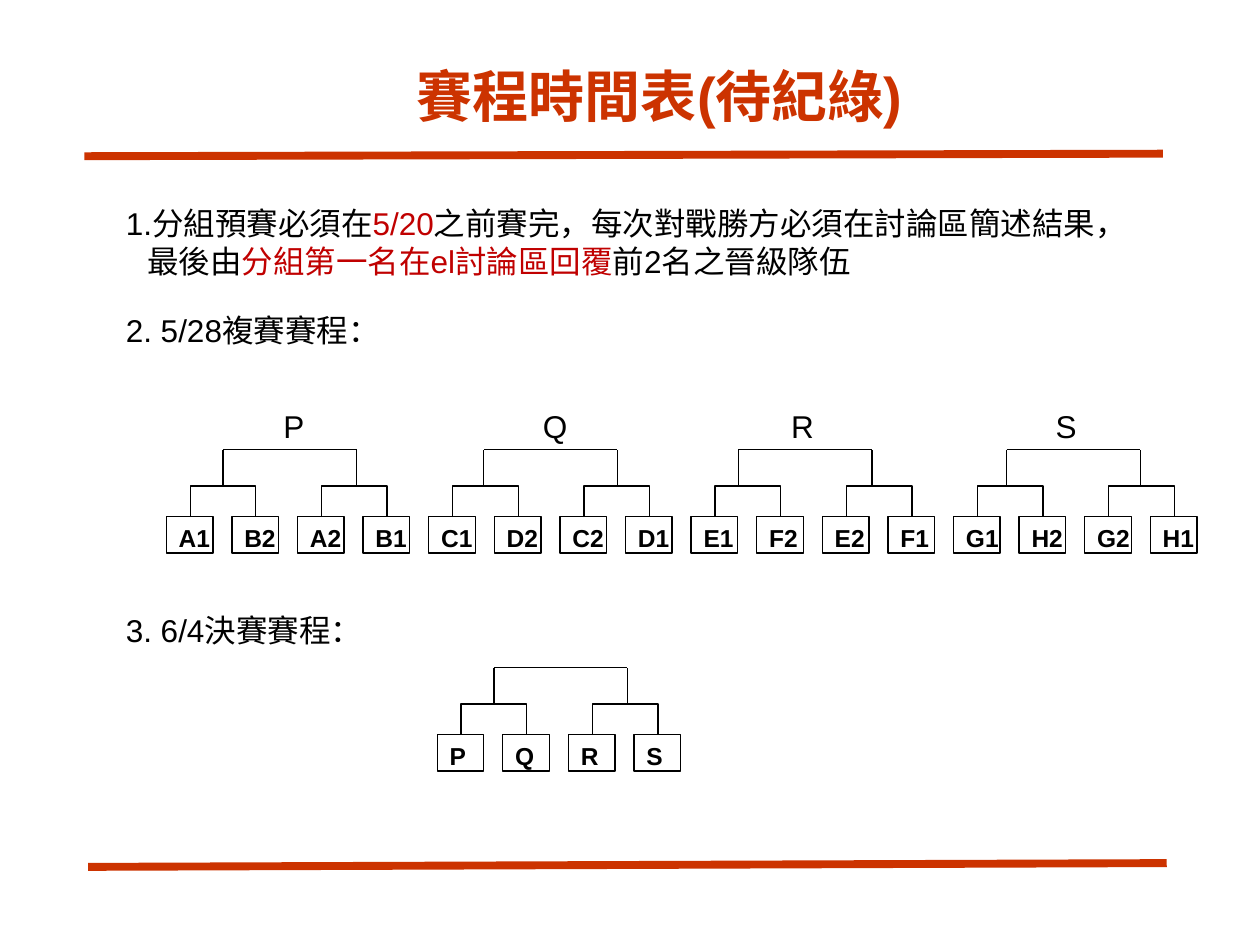
from lxml import etree
from pptx import Presentation
from pptx.dml.color import RGBColor
from pptx.enum import shapes, text
from pptx.oxml.ns import qn
from pptx.util import Inches, Pt

BLACK = RGBColor(0x00, 0x00, 0x00)
WHITE = RGBColor(0xFF, 0xFF, 0xFF)
ORANGE = RGBColor(0xCC, 0x33, 0x00)
RED = RGBColor(0xC0, 0x00, 0x00)
FONT = "Arial"

TEAM_PITCH = 7.81 / 15
TEAM_WIDTH, TEAM_HEIGHT = 0.37, 0.29
GROUPS = [  # winner, label left, left end of the upper bracket, teams
    ("P", 2.15, 1.77, ["A1", "B2", "A2", "B1"]),
    ("Q", 4.21, 3.84, ["C1", "D2", "C2", "D1"]),
    ("R", 6.18, 5.86, ["E1", "F2", "E2", "F1"]),
    ("S", 8.28, 7.99, ["G1", "H2", "G2", "H1"]),
]


def style_paragraph(paragraph, size, color=BLACK, bold=False):
    font = paragraph.font
    font.name, font.size, font.bold = FONT, Pt(size), bold
    font.color.rgb = color


def add_text(slide, box, lines, size=18, color=BLACK, bold=False):
    """Each line is a list of (words, colour or None) pieces."""
    frame = slide.shapes.add_textbox(*map(Inches, box)).text_frame
    frame.word_wrap = True
    for index, pieces in enumerate(lines):
        paragraph = frame.add_paragraph() if index else frame.paragraphs[0]
        style_paragraph(paragraph, size, color, bold)
        for words, accent in pieces:
            run = paragraph.add_run()
            run.text = words
            if accent is not None:
                run.font.color.rgb = accent
    return frame


def add_line(slide, start, end, color=BLACK, width=0.75,
             kind=shapes.MSO_CONNECTOR.STRAIGHT):
    line = slide.shapes.add_connector(kind, *map(Inches, (*start, *end)))
    line.line.color.rgb = color
    line.line.width = Pt(width)
    etree.SubElement(line._element.spPr, qn("a:effectLst"))
    return line


def add_team(slide, left, top, name):
    team = slide.shapes.add_shape(
        shapes.MSO_SHAPE.RECTANGLE,
        *map(Inches, (left, top, TEAM_WIDTH, TEAM_HEIGHT)))
    team.shadow.inherit = False
    team.fill.solid()
    team.fill.fore_color.rgb = WHITE
    team.line.color.rgb = BLACK
    team.line.width = Pt(0.75)
    frame = team.text_frame
    frame.word_wrap = True
    frame.margin_right = 0
    frame.vertical_anchor = text.MSO_ANCHOR.TOP
    paragraph = frame.paragraphs[0]
    paragraph.text = name
    paragraph.alignment = text.PP_ALIGN.LEFT
    style_paragraph(paragraph, 14, bold=True)


def add_match(slide, left, top):
    """Elbow joining two neighbouring teams, turned so that it opens down."""
    center = left + (TEAM_WIDTH + TEAM_PITCH) / 2
    half = TEAM_PITCH / 2
    elbow = add_line(slide, (center + 0.01, top + half), (center, top - half),
                     kind=shapes.MSO_CONNECTOR.ELBOW)
    properties = elbow._element.spPr
    properties.find(qn("a:xfrm")).set("rot", "5400000")
    adjustments = properties.find(qn("a:prstGeom")).get_or_add_avLst()
    etree.SubElement(adjustments, qn("a:gd"), name="adj1", fmla="val 2500000")


def add_bracket(slide, teams, left, top, upper_left):
    lefts = [left + i * TEAM_PITCH for i in range(len(teams))]
    for team_left, name in zip(lefts, teams):
        add_team(slide, team_left, top, name)
    for match_left in lefts[::2]:
        add_match(slide, match_left, top)
    # Match between the two winners
    upper_right = upper_left + 1.06
    low, high = top - 0.24, top - 0.53
    for x in (upper_left, upper_right):
        add_line(slide, (x, low), (x, high))
    add_line(slide, (upper_left, high), (upper_right, high))


def main():
    deck = Presentation()
    deck.slide_width, deck.slide_height = Inches(10), Inches(7.5)
    slide = deck.slides.add_slide(deck.slide_layouts[6])

    # Rules and title
    add_line(slide, (0.67, 1.24), (9.23, 1.22), ORANGE, 4.5)
    add_line(slide, (0.7, 6.88), (9.26, 6.85), ORANGE, 4.5)
    title = add_text(slide, (0.82, 0.4, 8.83, 0.67),
                     [[("賽程時間表(待紀綠)", None)]], 32, ORANGE, True)
    title.vertical_anchor = text.MSO_ANCHOR.BOTTOM
    title.paragraphs[0].alignment = text.PP_ALIGN.CENTER

    # Schedule notes
    notes = add_text(slide, (0.9, 1.57, 8.22, 0.71), [
        [("1.分組預賽必須在", None), ("5/20", RED),
         ("之前賽完，每次對戰勝方必須在討論區簡述結果，", None)],
        [("最後由", None), ("分組第一名在el討論區回覆", RED),
         ("前2名之晉級隊伍", None)],
    ])
    notes.paragraphs[1]._p.get_or_add_pPr().set("marL", str(Inches(0.17)))
    add_text(slide, (0.9, 2.42, 2.24, 0.4), [[("2. 5/28複賽賽程：", None)]])
    add_text(slide, (0.9, 4.8, 2.1, 0.4), [[("3. 6/4決賽賽程：", None)]])

    # Semifinal brackets
    for index, (winner, label_left, upper_left, teams) in enumerate(GROUPS):
        left = 1.32 + index * len(teams) * TEAM_PITCH
        add_bracket(slide, teams, left, 4.1, upper_left)
        add_text(slide, (label_left, 3.18, 0.4, 0.4), [[(winner, None)]])

    # Final bracket
    add_bracket(slide, [group[0] for group in GROUPS], 3.47, 5.83, 3.92)

    deck.save("out.pptx")


if __name__ == "__main__":
    main()
